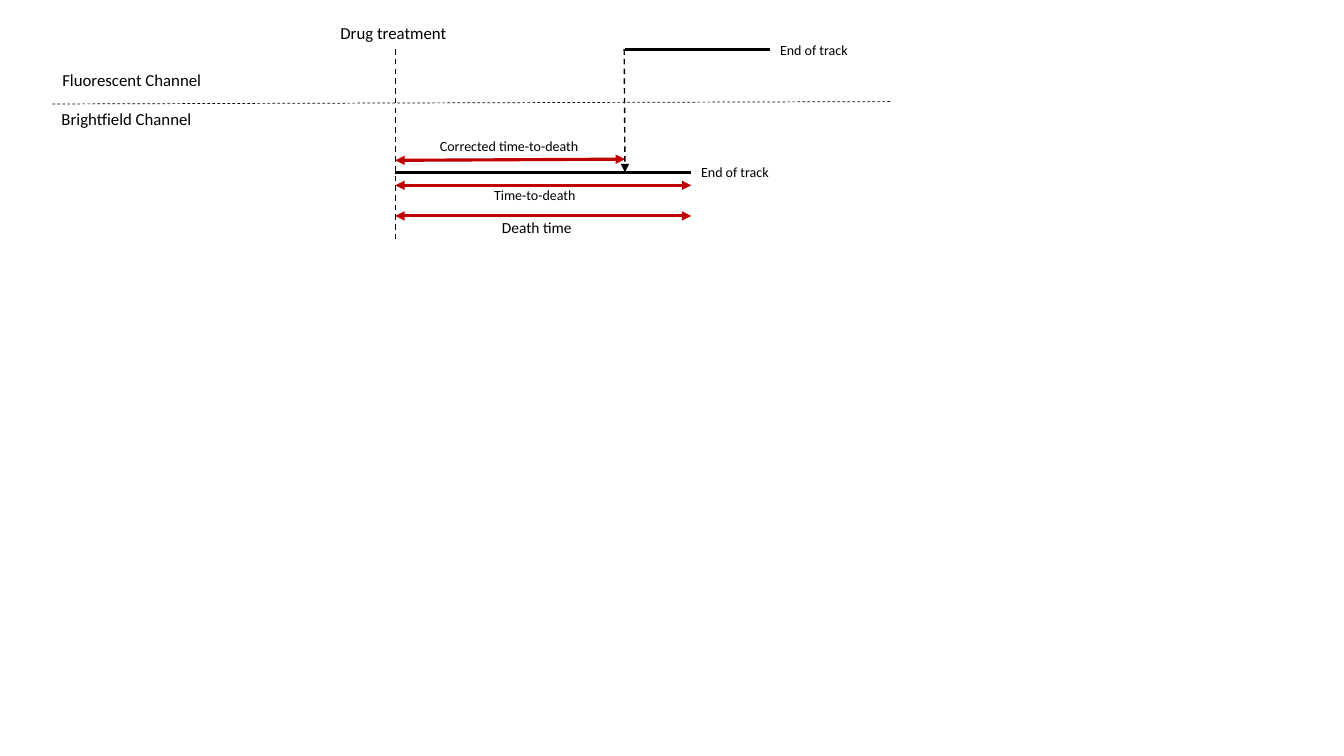
from dataclasses import dataclass

from lxml.etree import SubElement
from pptx import Presentation
from pptx.dml.color import RGBColor
from pptx.enum.dml import MSO_LINE
from pptx.enum.shapes import MSO_CONNECTOR as Connector
from pptx.enum.text import MSO_AUTO_SIZE as AutoSize, PP_ALIGN as Align
from pptx.oxml.ns import qn
from pptx.util import Cm, Pt


@dataclass(frozen=True)
class Theme:
    font: str = "Calibri"
    ink: RGBColor = RGBColor(0x00, 0x00, 0x00)
    span_red: RGBColor = RGBColor(0xC0, 0x00, 0x00)
    heading: float = 12
    medium: float = 11
    small: float = 10
    thick: float = 2.25
    thin: float = 1
    hairline: float = 0.5


THEME = Theme()
TREATMENT_X = 9.96
DEATH_X = 15.75
BRIGHTFIELD_END_X = 17.42
FLUORESCENT_END_X = 19.41
FLUORESCENT_Y = 1.24
BRIGHTFIELD_Y = 4.34


def add_line(page, start, end, width=THEME.thick, color=THEME.ink, dashed=False, arrows=()):
    line = page.shapes.add_connector(
        Connector.STRAIGHT, Cm(start[0]), Cm(start[1]), Cm(end[0]), Cm(end[1])
    )
    line.line.color.rgb = color
    line.line.width = Pt(width)
    if dashed:
        line.line.dash_style = MSO_LINE.DASH
    properties = line._element.spPr
    outline = properties.find(qn("a:ln"))
    for arrow in arrows:
        SubElement(outline, qn(f"a:{arrow}"), type="triangle")
    SubElement(properties, qn("a:effectLst"))


def add_span(page, start, end):
    add_line(page, start, end, color=THEME.span_red, arrows=("headEnd", "tailEnd"))


def add_label(page, text, left, top, width, height, size, align=Align.LEFT, wrap=False):
    box = page.shapes.add_textbox(Cm(left), Cm(top), Cm(width), Cm(height))
    frame = box.text_frame
    frame.word_wrap = wrap
    frame.auto_size = AutoSize.SHAPE_TO_FIT_TEXT
    para = frame.paragraphs[0]
    para.alignment = align
    span = para.add_run()
    span.text = text
    span.font.name = THEME.font
    span.font.size = Pt(size)
    span.font.color.rgb = THEME.ink


def add_channels(page):
    add_label(page, "Fluorescent Channel", 1.32, 1.63, 4.06, 0.76, THEME.heading)
    add_line(page, (1.32, 2.62), (22.45, 2.56), THEME.hairline, dashed=True)
    add_label(page, "Brightfield Channel", 1.3, 2.62, 3.81, 0.76, THEME.heading)


def add_tracks(page):
    add_line(page, (TREATMENT_X, BRIGHTFIELD_Y), (BRIGHTFIELD_END_X, BRIGHTFIELD_Y))
    add_label(page, "End of track", BRIGHTFIELD_END_X, 3.99, 2.24, 0.69, THEME.small)
    add_line(page, (DEATH_X, FLUORESCENT_Y), (FLUORESCENT_END_X, FLUORESCENT_Y))
    add_label(page, "End of track", FLUORESCENT_END_X, 0.91, 4.14, 0.69, THEME.small, wrap=True)


def add_events(page):
    add_label(page, "Drug treatment", 8.33, 0.46, 3.2, 0.76, THEME.heading)
    add_line(page, (TREATMENT_X, FLUORESCENT_Y), (TREATMENT_X, 6.07), THEME.thin, dashed=True)
    add_line(
        page, (15.73, FLUORESCENT_Y), (DEATH_X, BRIGHTFIELD_Y),
        THEME.thin, dashed=True, arrows=("tailEnd",),
    )


def add_durations(page):
    add_span(page, (TREATMENT_X, 4.04), (DEATH_X, 4.01))
    for span_y in (4.67, 5.44):
        add_span(page, (TREATMENT_X, span_y), (BRIGHTFIELD_END_X, span_y))
    for text, left, top, width, height, size in (
        ("Corrected time-to-death", 9.73, 3.33, 6.2, 0.69, THEME.small),
        ("Time-to-death", 11.25, 4.57, 4.45, 0.69, THEME.small),
        ("Death time", 11.18, 5.36, 4.7, 0.74, THEME.medium),
    ):
        add_label(page, text, left, top, width, height, size, Align.CENTER, wrap=True)


def main():
    deck = Presentation()
    deck.slide_width = Cm(33.87)
    deck.slide_height = Cm(19.05)
    page = deck.slides.add_slide(deck.slide_layouts[6])
    add_channels(page)
    add_tracks(page)
    add_events(page)
    add_durations(page)
    deck.save("out.pptx")


if __name__ == "__main__":
    main()
